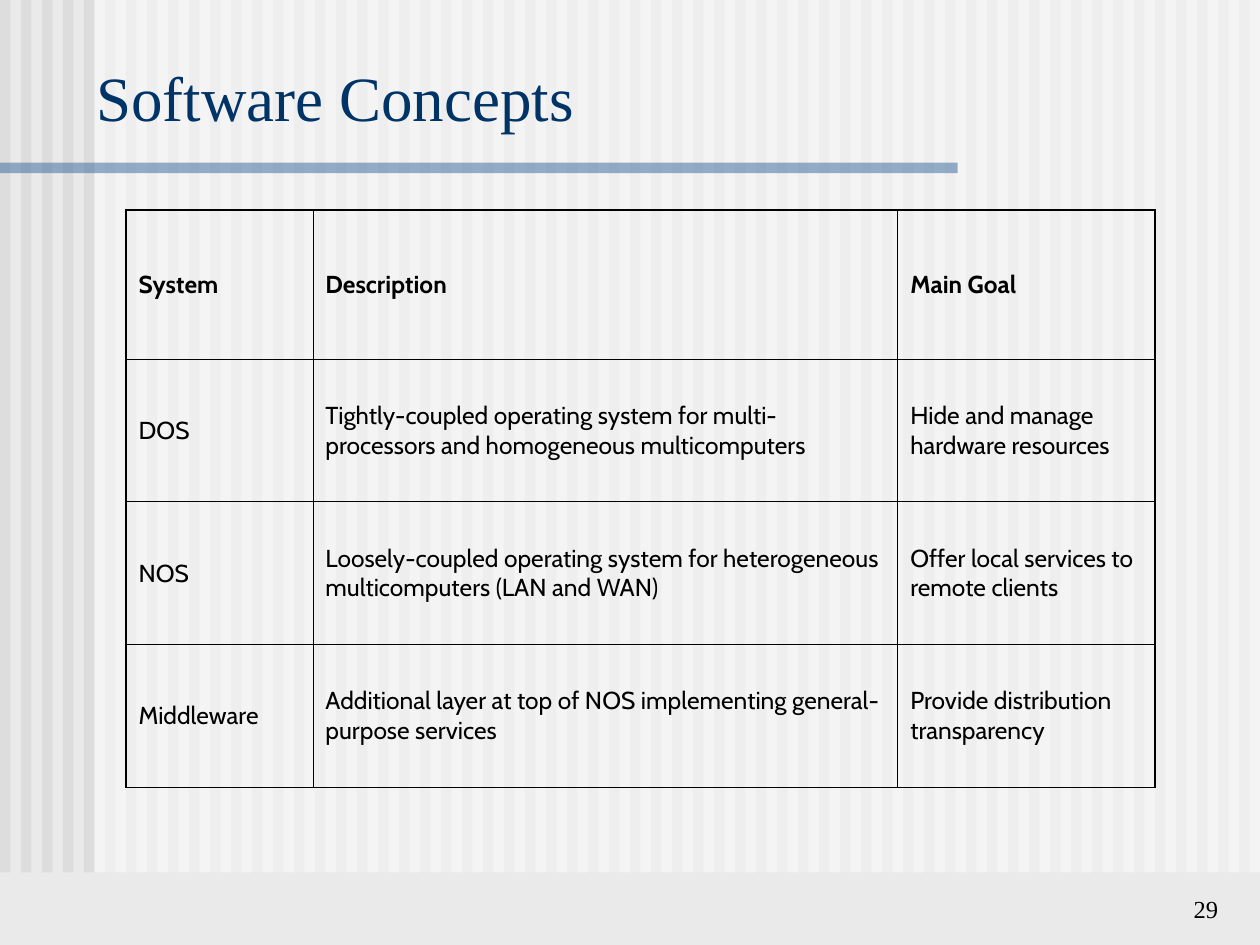
from dataclasses import dataclass

import pptx
import pptx.dml.color
import pptx.enum.shapes
import pptx.enum.text
import pptx.oxml.ns
import pptx.util
from lxml import etree

ALIGN = pptx.enum.text.PP_ALIGN
ANCHOR = pptx.enum.text.MSO_ANCHOR


@dataclass(frozen=True)
class Theme:
    background: str = "EAEAEA"
    stripe: str = "DDDDDD"
    veil: str = "FFFFFF"
    rule: str = "336699"
    title: str = "003366"
    ink: str = "000000"
    serif: str = "Times New Roman"
    sans: str = "Cabin"
    title_size: int = 36
    body_size: int = 14
    outer_border: float = 1.08
    inner_border: float = 0.45


def rgb(code):
    return pptx.dml.color.RGBColor.from_string(code)


def grid(count):
    """Length of a number of grid columns or rows, twelve to the inch."""
    return pptx.util.Inches(count / 12)


def sub(parent, tag, **attributes):
    return etree.SubElement(parent, pptx.oxml.ns.qn(tag), attributes)


class SlideBuilder:
    COLUMNS, ROWS = 120, 90

    def __init__(self, presentation, theme):
        presentation.slide_width = grid(self.COLUMNS)
        presentation.slide_height = grid(self.ROWS)
        self.theme = theme
        self.slide = presentation.slides.add_slide(presentation.slide_layouts[6])
        background = self.slide.background.fill
        background.solid()
        background.fore_color.rgb = rgb(theme.background)

    def block(self, left, top, width, height, color, opacity=100):
        shape = self.slide.shapes.add_shape(
            pptx.enum.shapes.MSO_SHAPE.RECTANGLE,
            grid(left), grid(top), grid(width), grid(height))
        shape.shadow.inherit = False
        shape.fill.solid()
        shape.fill.fore_color.rgb = rgb(color)
        if opacity < 100:
            fill_color = shape.element.spPr.find(".//" + pptx.oxml.ns.qn("a:srgbClr"))
            sub(fill_color, "a:alpha", val=str(opacity * 1000))
        shape.line.fill.background()

    def style(self, paragraph, font_name, size, color, bold=False):
        for run in paragraph.runs:
            run.font.name = font_name
            run.font.size = pptx.util.Pt(size)
            run.font.color.rgb = rgb(color)
            run.font.bold = bold

    def text(self, left, top, width, height, words, size, color, align=ALIGN.LEFT):
        frame = self.slide.shapes.add_textbox(
            grid(left), grid(top), grid(width), grid(height)).text_frame
        frame.word_wrap = True
        frame.vertical_anchor = ANCHOR.BOTTOM
        frame.text = words
        frame.paragraphs[0].alignment = align
        self.style(frame.paragraphs[0], self.theme.serif, size, color)

    def border(self, cell, side, is_outer):
        points = self.theme.outer_border if is_outer else self.theme.inner_border
        line = sub(cell._tc.get_or_add_tcPr(), f"a:ln{side}",
                   w=str(pptx.util.Pt(points)))
        sub(sub(line, "a:solidFill"), "a:srgbClr", val=self.theme.ink)

    def table(self, left, top, widths, heights, content):
        table = self.slide.shapes.add_table(
            len(heights), len(widths), grid(left), grid(top),
            grid(sum(widths)), grid(sum(heights))).table
        table.first_row = table.horz_banding = False
        for column, width in zip(table.columns, widths):
            column.width = grid(width)
        for row, height in zip(table.rows, heights):
            row.height = grid(height)
        last_row, last_column = len(heights) - 1, len(widths) - 1
        for r, entries in enumerate(content):
            for c, words in enumerate(entries):
                cell = table.cell(r, c)
                cell.vertical_anchor = ANCHOR.MIDDLE
                for side, is_outer in (("L", c == 0), ("R", c == last_column),
                                       ("T", r == 0), ("B", r == last_row)):
                    self.border(cell, side, is_outer)
                cell.fill.background()
                cell.text_frame.text = words
                self.style(cell.text_frame.paragraphs[0], self.theme.sans,
                           self.theme.body_size, self.theme.ink, bold=r == 0)


SYSTEMS = [
    ("System", "Description", "Main Goal"),
    ("DOS",
     "Tightly-coupled operating system for multi-processors and homogeneous multicomputers",
     "Hide and manage hardware resources"),
    ("NOS",
     "Loosely-coupled operating system for heterogeneous multicomputers (LAN and WAN)",
     "Offer local services to remote clients"),
    ("Middleware",
     "Additional layer at top of NOS implementing general-purpose services",
     "Provide distribution transparency"),
]


def main():
    presentation = pptx.Presentation()
    theme = Theme()
    page = SlideBuilder(presentation, theme)

    stripe_top = -6.9
    for column in range(0, page.COLUMNS, 2):
        page.block(column, stripe_top, 1, page.ROWS, theme.stripe)
    page.block(9, stripe_top, 111, page.ROWS, theme.veil, opacity=50)
    page.block(0, 15.5, 91.2, 1, theme.rule, opacity=50)

    page.text(8, 5, 107.2, 8.4, "Software Concepts", theme.title_size, theme.title)
    page.text(92.2, 82.5, 25, 6, "29", theme.body_size, theme.ink, ALIGN.RIGHT)
    page.table(12, 20, [17.8, 55.7, 24.5], [14.2] + [13.6] * 3, SYSTEMS)

    presentation.save("out.pptx")


if __name__ == "__main__":
    main()
